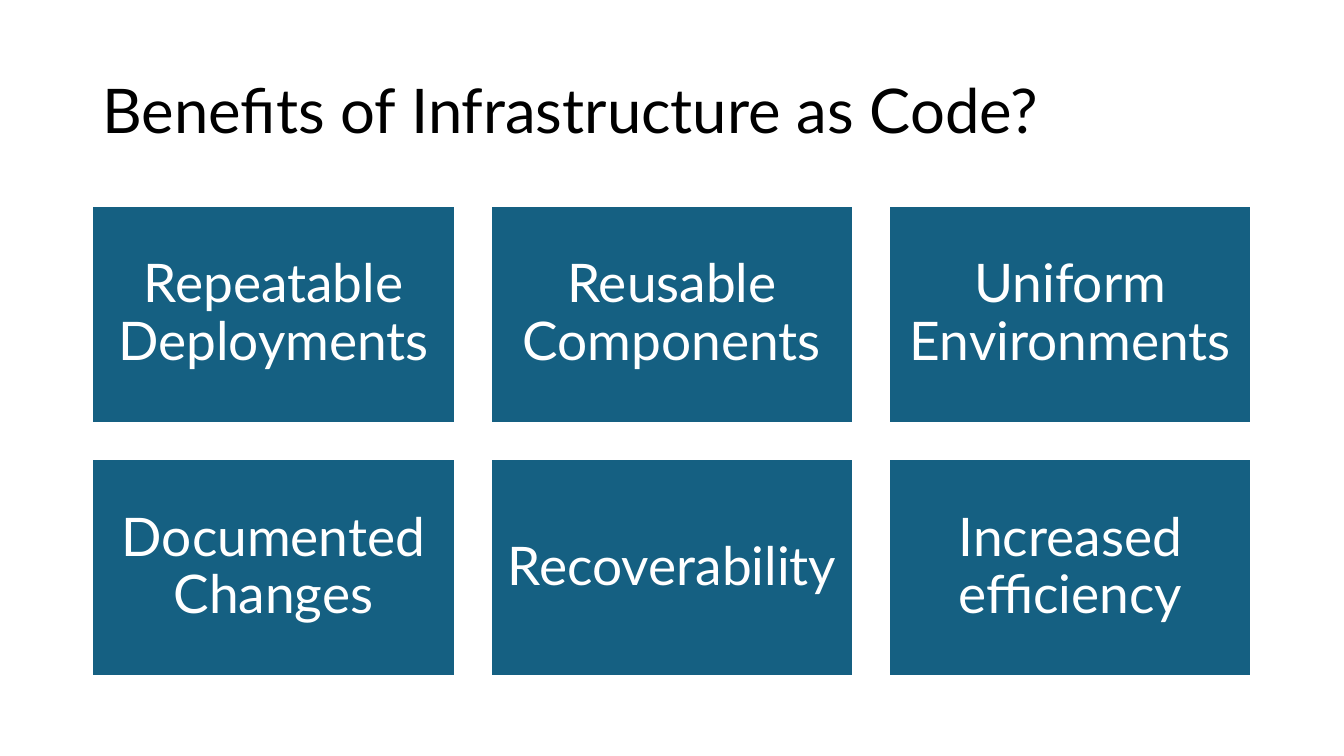
import dataclasses
import pptx
import pptx.dml.color
import pptx.enum.shapes
import pptx.enum.text
import pptx.util

Cm = pptx.util.Cm
Pt = pptx.util.Pt
Rgb = pptx.dml.color.RGBColor
Align = pptx.enum.text.PP_ALIGN
Anchor = pptx.enum.text.MSO_ANCHOR


@dataclasses.dataclass(frozen=True)
class Theme:
    font: str = "Lato"
    ink: str = "000000"
    paper: str = "FFFFFF"
    tile: str = "156082"
    head: int = 44
    body: int = 38
    edge: float = 1.5
    lead: float = 0.9


theme = Theme()
benefits = [
    "Repeatable Deployments", "Reusable Components", "Uniform Environments",
    "Documented Changes", "Recoverability", "Increased efficiency",
]


def write(frame, text, size, color, align):
    frame.word_wrap = True
    frame.auto_size = pptx.enum.text.MSO_AUTO_SIZE.NONE
    frame.vertical_anchor = Anchor.MIDDLE
    para = frame.paragraphs[0]
    para.alignment = align
    para.line_spacing = theme.lead
    run = para.add_run()
    run.text = text
    run.font.name = theme.font
    run.font.size = Pt(size)
    run.font.color.rgb = Rgb.from_string(color)


def add_title(slide, text, left, top, width, height):
    title = slide.shapes.title
    title.left, title.top = Cm(left), Cm(top)
    title.width, title.height = Cm(width), Cm(height)
    write(title.text_frame, text, theme.head, theme.ink, Align.LEFT)


def add_tile(slide, text, left, top, width, height):
    tile = slide.shapes.add_shape(
        pptx.enum.shapes.MSO_SHAPE.RECTANGLE,
        Cm(left), Cm(top), Cm(width), Cm(height))
    tile.shadow.inherit = False
    tile.fill.solid()
    tile.fill.fore_color.rgb = Rgb.from_string(theme.tile)
    tile.line.color.rgb = Rgb.from_string(theme.paper)
    tile.line.width = Pt(theme.edge)
    frame = tile.text_frame
    frame.margin_left = frame.margin_right = Cm(0.4)
    frame.margin_top = frame.margin_bottom = Cm(0.4)
    write(frame, text, theme.body, theme.paper, Align.CENTER)


def add_grid(slide, texts, left, top, width, height, cols=3, gap=0.91):
    rows = len(texts) // cols
    wide = (width - gap * (cols - 1)) / cols
    high = (height - gap * (rows - 1)) / rows
    for index, text in enumerate(texts):
        row, col = divmod(index, cols)
        add_tile(slide, text, left + col * (wide + gap),
                 top + row * (high + gap), wide, high)


def main():
    deck = pptx.Presentation()
    deck.slide_width, deck.slide_height = Cm(33.87), Cm(19.05)
    slide = deck.slides.add_slide(deck.slide_layouts.get_by_name("Title Only"))
    slide.background.fill.solid()
    slide.background.fill.fore_color.rgb = Rgb.from_string(theme.paper)
    add_title(slide, "Benefits of Infrastructure as Code?", 2.33, 1.01, 29.21, 3.68)
    add_grid(slide, benefits, 2.33, 5.18, 29.21, 11.87)
    deck.save("out.pptx")


if __name__ == "__main__":
    main()
